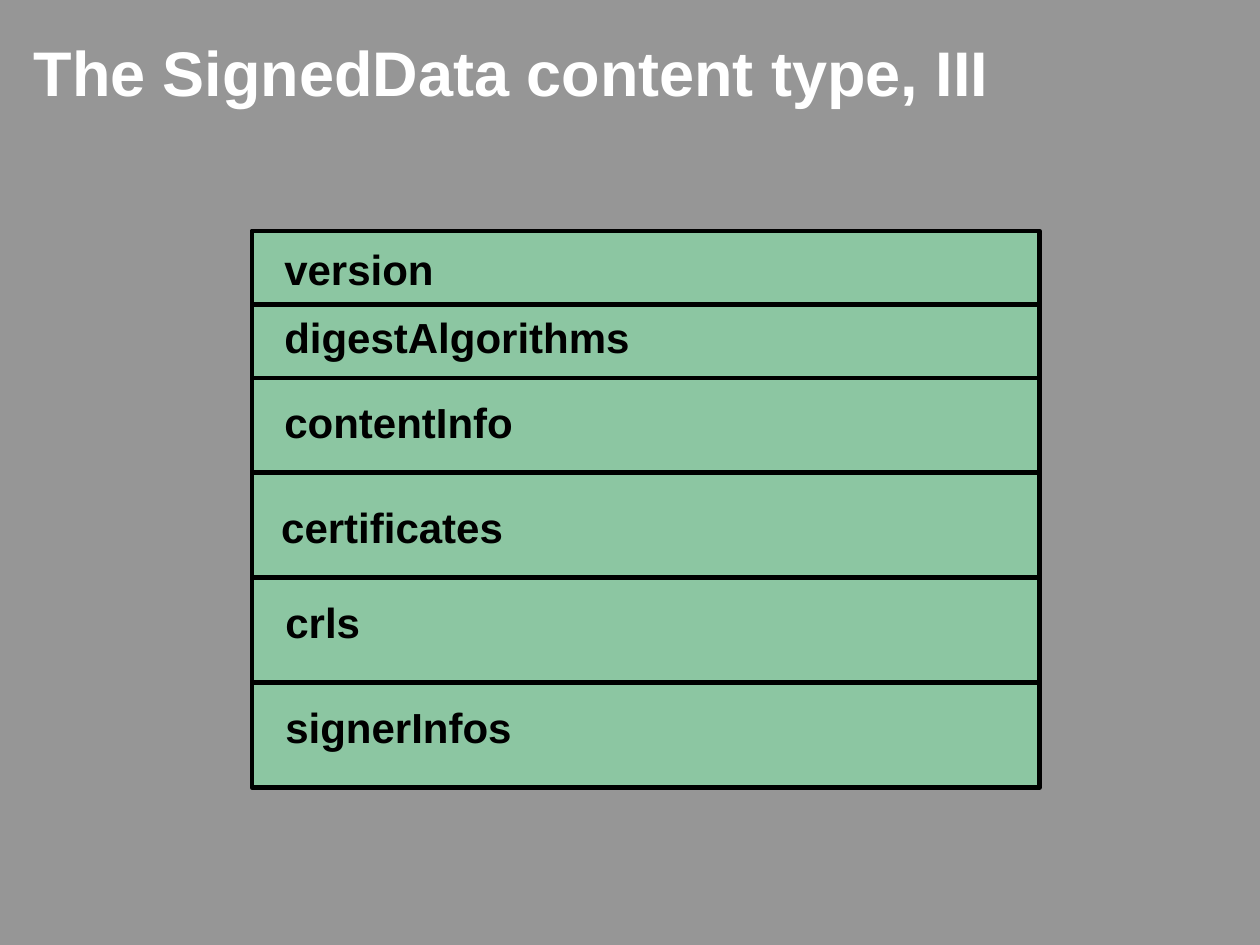
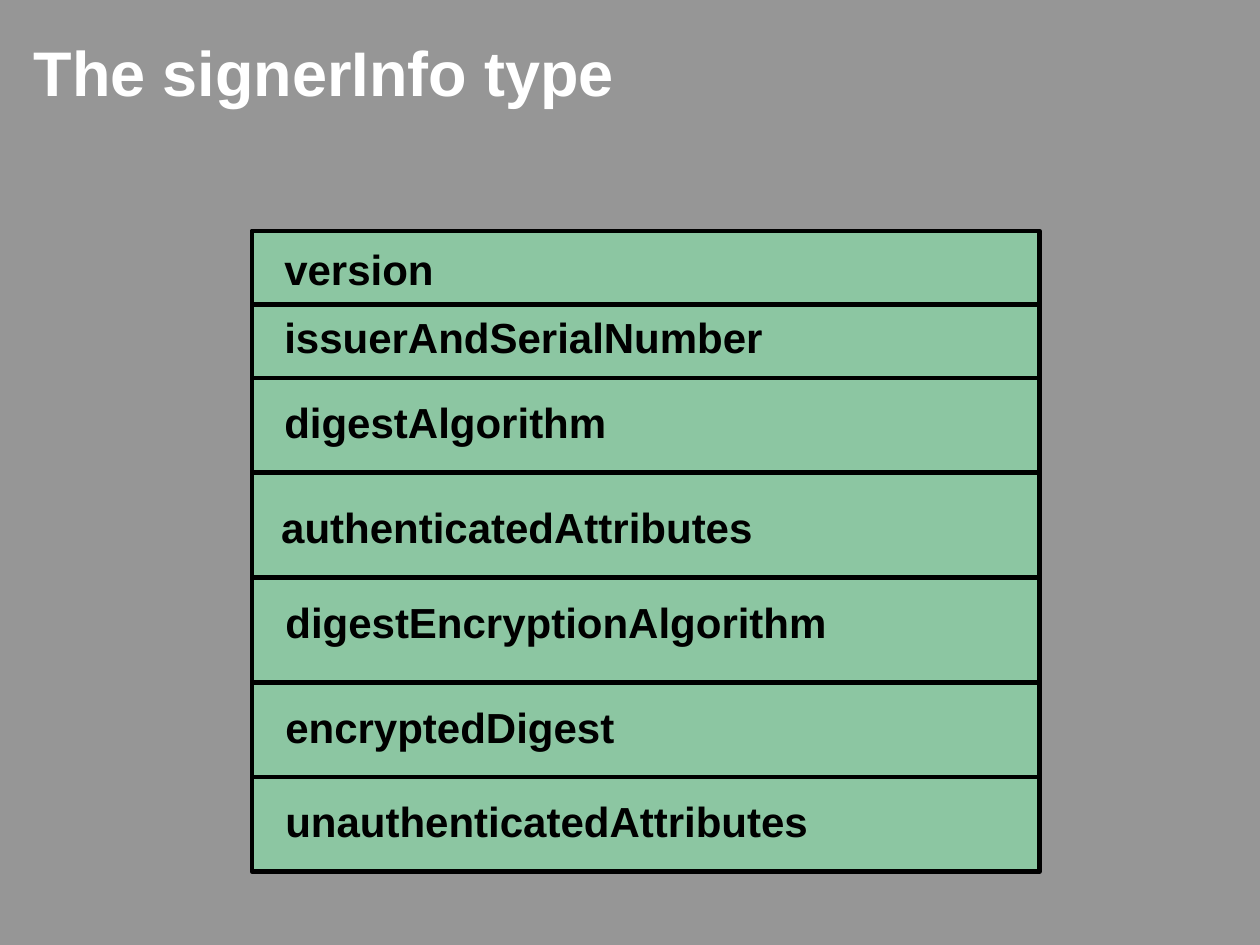
from dataclasses import dataclass
from itertools import accumulate

from lxml.etree import SubElement
from pptx import Presentation
from pptx.dml.color import RGBColor as RGB
from pptx.enum.shapes import MSO_CONNECTOR as CONN, MSO_SHAPE as SHAPE
from pptx.enum.text import MSO_ANCHOR as ANCHOR, PP_ALIGN as ALIGN
from pptx.oxml.ns import qn
from pptx.util import Inches, Pt


@dataclass(frozen=True)
class Theme:
    font: str = "Arial"
    background: RGB = RGB(0x96, 0x96, 0x96)
    title: RGB = RGB(0xFF, 0xFF, 0xFF)
    field: RGB = RGB(0x8C, 0xC6, 0xA2)
    ink: RGB = RGB(0, 0, 0)
    title_size: int = 36
    field_size: int = 24
    rule: float = 2.75


@dataclass(frozen=True)
class Row:
    height: int
    label_indent: float
    label_drop: float
    label_width: float


THEME = Theme()
WIDTH, HEIGHT = Inches(10), Inches(7.5)
COLUMNS = 120
RECORD_LEFT, RECORD_TOP, RECORD_WIDTH = 24, 22, 75
LABEL_HEIGHT = 6
ROWS = [
    Row(7, 1.9, 0.6, 17),
    Row(7, 1.9, 0.1, 65),
    Row(9, 1.9, 1.2, 44),
    Row(10, 1.6, 2.2, 64.4),
    Row(10, 2, 1.2, 58),
    Row(9, 2, 1.2, 49),
    Row(9, 2, 1.2, 59),
]


def grid(*cells):
    return [round(WIDTH * cell / COLUMNS) for cell in cells]


def add_run(p, text, size, color):
    r = p.add_run()
    r.text = text
    r.font.name = THEME.font
    r.font.size = Pt(size)
    r.font.bold = True
    r.font.color.rgb = color


def add_titled_slide(prs, text):
    s = prs.slides.add_slide(prs.slide_layouts[5])
    sp = s.shapes.title
    sp.left, sp.top, sp.width, sp.height = grid(2, 2, 99, 8.9)
    tf = sp.text_frame
    tf.word_wrap = True
    tf.vertical_anchor = ANCHOR.MIDDLE
    p = tf.paragraphs[0]
    p.alignment = ALIGN.LEFT
    p.line_spacing = 1.1
    add_run(p, text, THEME.title_size, THEME.title)
    return s


def style_line(line):
    line.color.rgb = THEME.ink
    line.width = Pt(THEME.rule)


def add_frame(shapes, height):
    sp = shapes.add_shape(
        SHAPE.RECTANGLE, *grid(RECORD_LEFT, RECORD_TOP, RECORD_WIDTH, height))
    sp.shadow.inherit = False
    sp.fill.solid()
    sp.fill.fore_color.rgb = THEME.field
    style_line(sp.line)


def add_divider(shapes, y):
    line = shapes.add_connector(
        CONN.STRAIGHT, *grid(RECORD_LEFT, y, RECORD_LEFT + RECORD_WIDTH, y))
    SubElement(line._element.spPr, qn("a:effectLst"))
    style_line(line.line)


def add_label(shapes, text, row, y):
    sp = shapes.add_textbox(*grid(
        RECORD_LEFT + row.label_indent, y + row.label_drop,
        row.label_width, LABEL_HEIGHT))
    tf = sp.text_frame
    tf.word_wrap = True
    add_run(tf.paragraphs[0], text, THEME.field_size, THEME.ink)


def add_record(s, fields, height):
    shapes = s.shapes.add_group_shape().shapes
    add_frame(shapes, height)
    tops = list(accumulate((row.height for row in ROWS), initial=RECORD_TOP))
    for y in tops[1:len(fields)]:
        add_divider(shapes, y)
    for text, row, y in zip(fields, ROWS, tops):
        add_label(shapes, text, row, y)


def main():
    prs = Presentation()
    prs.slide_width, prs.slide_height = WIDTH, HEIGHT
    fill = prs.slide_master.background.fill
    fill.solid()
    fill.fore_color.rgb = THEME.background

    s = add_titled_slide(prs, "The SignedData content type, III")
    add_record(s, ["version", "digestAlgorithms", "contentInfo",
                   "certificates", "crls", "signerInfos"], 53)

    s = add_titled_slide(prs, "The signerInfo type")
    add_record(s, ["version", "issuerAndSerialNumber", "digestAlgorithm",
                   "authenticatedAttributes", "digestEncryptionAlgorithm",
                   "encryptedDigest", "unauthenticatedAttributes"], 61)

    prs.save("out.pptx")


if __name__ == "__main__":
    main()
